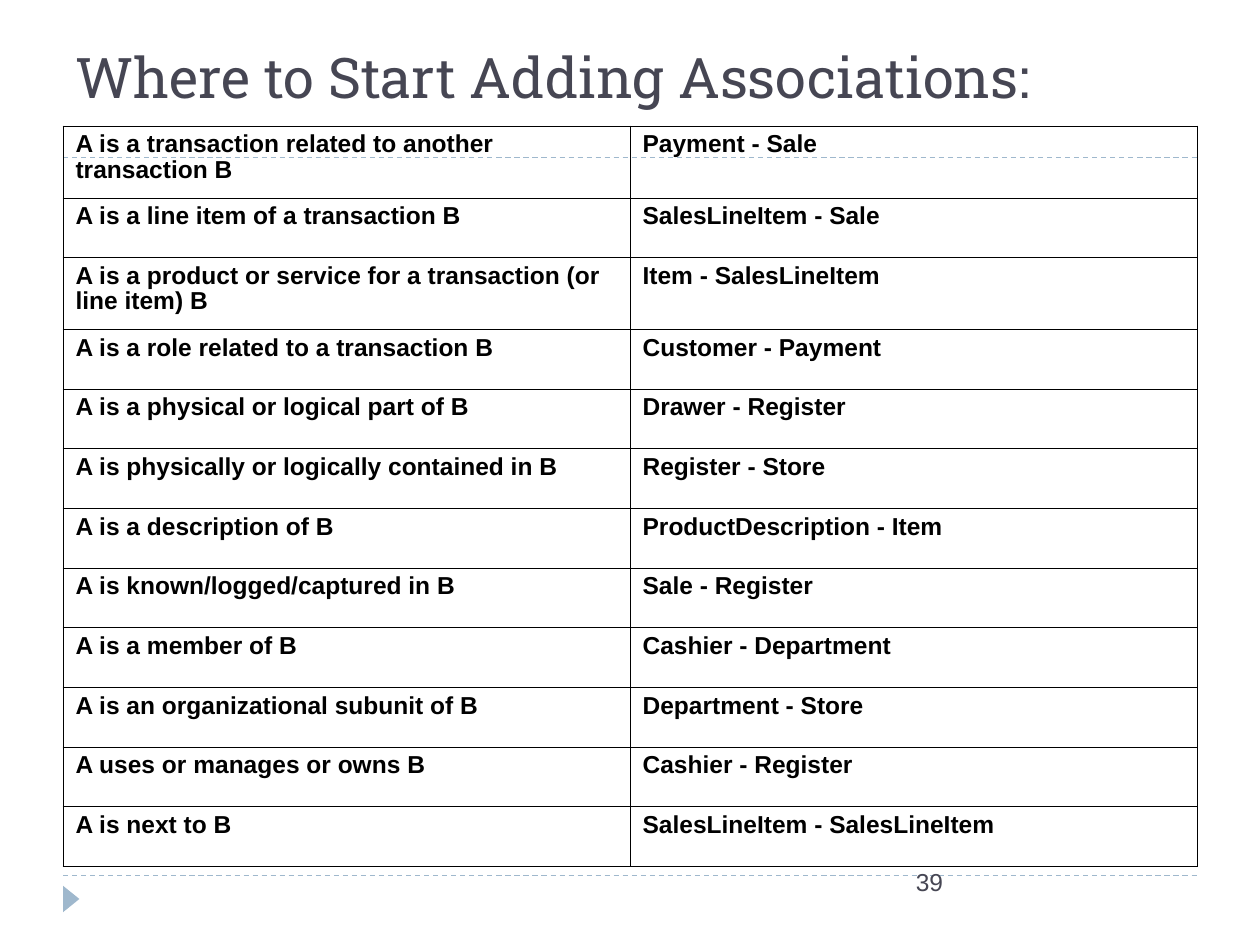
import pptx
import pptx.dml.color
import pptx.enum.dml
import pptx.enum.shapes
import pptx.enum.text
import pptx.oxml.ns
import pptx.util
from lxml import etree

COLORS = {"ink": "000000", "heading": "464653", "accent": "9FB8CD"}
ASSOCIATIONS = [
    ("A is a transaction related to another transaction B", "Payment - Sale"),
    ("A is a line item of a transaction B", "SalesLineItem - Sale"),
    ("A is a product or service for a transaction (or line item) B", "Item - SalesLineItem"),
    ("A is a role related to a transaction B", "Customer - Payment"),
    ("A is a physical or logical part of B", "Drawer - Register"),
    ("A is physically or logically contained in B", "Register - Store"),
    ("A is a description of B", "ProductDescription - Item"),
    ("A is known/logged/captured in B", "Sale - Register"),
    ("A is a member of B", "Cashier - Department"),
    ("A is an organizational subunit of B", "Department - Store"),
    ("A uses or manages or owns B", "Cashier - Register"),
    ("A is next to B", "SalesLineItem - SalesLineItem"),
]
WRAPPED_ROWS = (0, 2)


class SlideBuilder:
    """Draws styled elements on a grid of 20 columns by 15 rows."""

    def __init__(self, deck):
        self.column = deck.slide_width / 20
        self.row = deck.slide_height / 15
        self.slide = deck.slides.add_slide(deck.slide_layouts[5])

    def place(self, left, top, width, height):
        return (round(left * self.column), round(top * self.row),
                round(width * self.column), round(height * self.row))

    def color(self, name):
        return pptx.dml.color.RGBColor.from_string(COLORS[name])

    def set_text(self, frame, text, size, color, font="Arial", bold=False):
        frame.word_wrap = True
        frame.text = text
        paragraph = frame.paragraphs[0]
        paragraph.alignment = pptx.enum.text.PP_ALIGN.LEFT
        paragraph.font.name = font
        paragraph.font.size = pptx.util.Pt(size)
        paragraph.font.bold = bold
        paragraph.font.color.rgb = self.color(color)
        return paragraph

    def title(self, text, *area):
        heading = self.slide.shapes.title
        heading.left, heading.top, heading.width, heading.height = self.place(*area)
        frame = heading.text_frame
        self.set_text(frame, text, 32, "heading", "Roboto Slab")
        frame.auto_size = pptx.enum.text.MSO_AUTO_SIZE.NONE
        frame.vertical_anchor = pptx.enum.text.MSO_ANCHOR.BOTTOM

    def rule(self, left, top, width):
        x, y, length, _ = self.place(left, top, width, 0)
        rule = self.slide.shapes.add_connector(
            pptx.enum.shapes.MSO_CONNECTOR.STRAIGHT, x, y, x + length, y)
        rule.line.color.rgb = self.color("accent")
        rule.line.width = pptx.util.Pt(0.75)
        rule.line.dash_style = pptx.enum.dml.MSO_LINE.DASH
        etree.SubElement(rule._element.spPr, pptx.oxml.ns.qn("a:effectLst"))

    def marker(self, *area):
        marker = self.slide.shapes.add_shape(
            pptx.enum.shapes.MSO_SHAPE.ISOSCELES_TRIANGLE, *self.place(*area))
        marker.rotation = 90
        marker.shadow.inherit = False
        marker.fill.solid()
        marker.fill.fore_color.rgb = self.color("accent")
        marker.line.fill.background()

    def label(self, text, *area):
        label = self.slide.shapes.add_textbox(*self.place(*area))
        self.set_text(label.text_frame, text, 14, "heading")

    def border(self, cell, side, width):
        edge = etree.SubElement(cell._tc.get_or_add_tcPr(), pptx.oxml.ns.qn(f"a:ln{side}"))
        edge.set("w", str(pptx.util.Pt(width)))
        fill = etree.SubElement(edge, pptx.oxml.ns.qn("a:solidFill"))
        etree.SubElement(fill, pptx.oxml.ns.qn("a:srgbClr")).set("val", COLORS["ink"])

    def table(self, entries, wrapped, tall, *area):
        left, top, width, height = self.place(*area)
        last_row, last_column = len(entries) - 1, len(entries[0]) - 1
        table = self.slide.shapes.add_table(
            last_row + 1, last_column + 1, left, top, width, height).table
        table.first_row = table.horz_banding = False
        tall_height = round(tall * self.row)
        short_height = round((height - len(wrapped) * tall_height) / (len(entries) - len(wrapped)))
        for r, entry in enumerate(entries):
            table.rows[r].height = tall_height if r in wrapped else short_height
            for c, text in enumerate(entry):
                cell = table.cell(r, c)
                self.set_text(cell.text_frame, text, 14, "ink", bold=True).line_spacing = 0.93
                outer = {"L": c == 0, "R": c == last_column, "T": r == 0, "B": r == last_row}
                for side, is_outer in outer.items():
                    self.border(cell, side, 0.5 if is_outer else 0.23)
                cell.fill.background()


def main():
    deck = pptx.Presentation()
    deck.slide_width = pptx.util.Inches(10)
    deck.slide_height = pptx.util.Inches(7.5)
    builder = SlideBuilder(deck)
    for top in (13.9, 2.5):
        builder.rule(1, top, 18)
    builder.marker(0.92, 14.14, 0.42, 0.26)
    builder.title("Where to Start Adding Associations:", 1, 0.6, 18, 1.24)
    builder.table(ASSOCIATIONS, WRAPPED_ROWS, 1.14, 1, 2, 18, 11.76)
    builder.label("39", 14.34, 13.66, 4.66, 1.04)
    deck.save("out.pptx")


if __name__ == "__main__":
    main()
